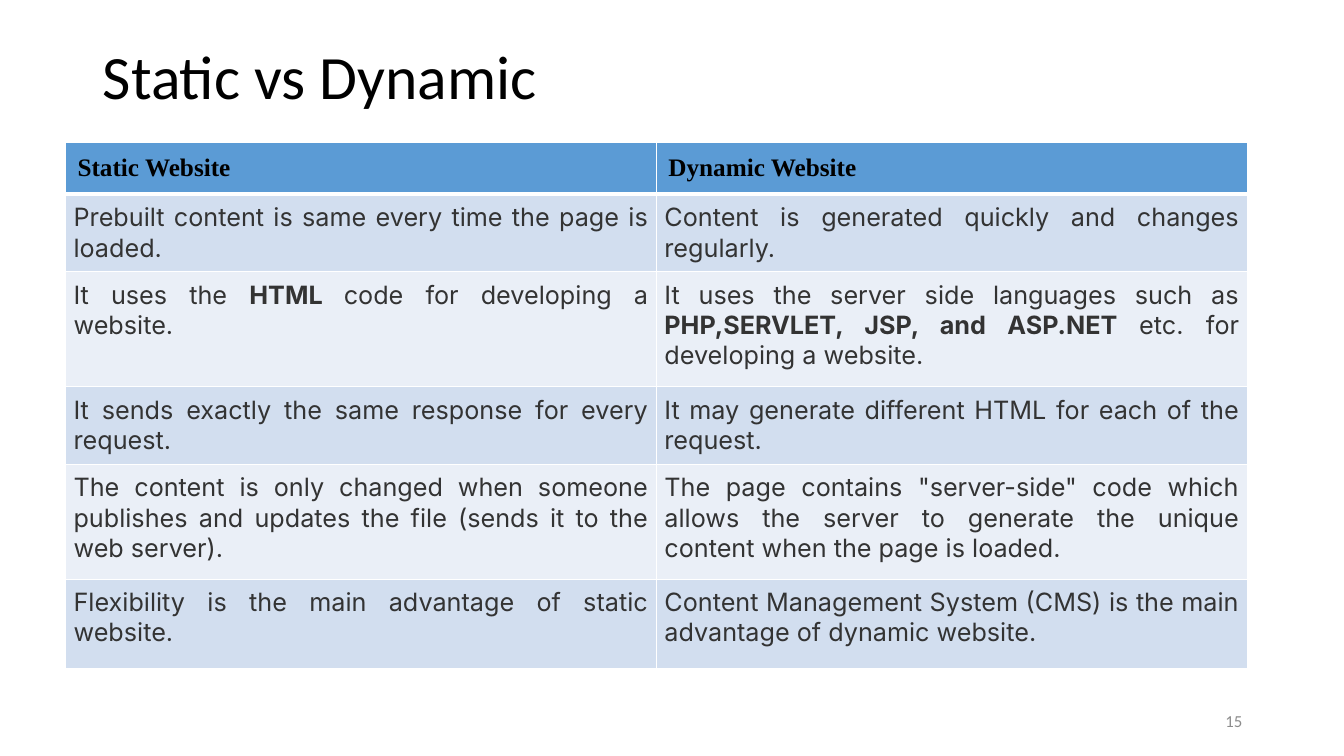
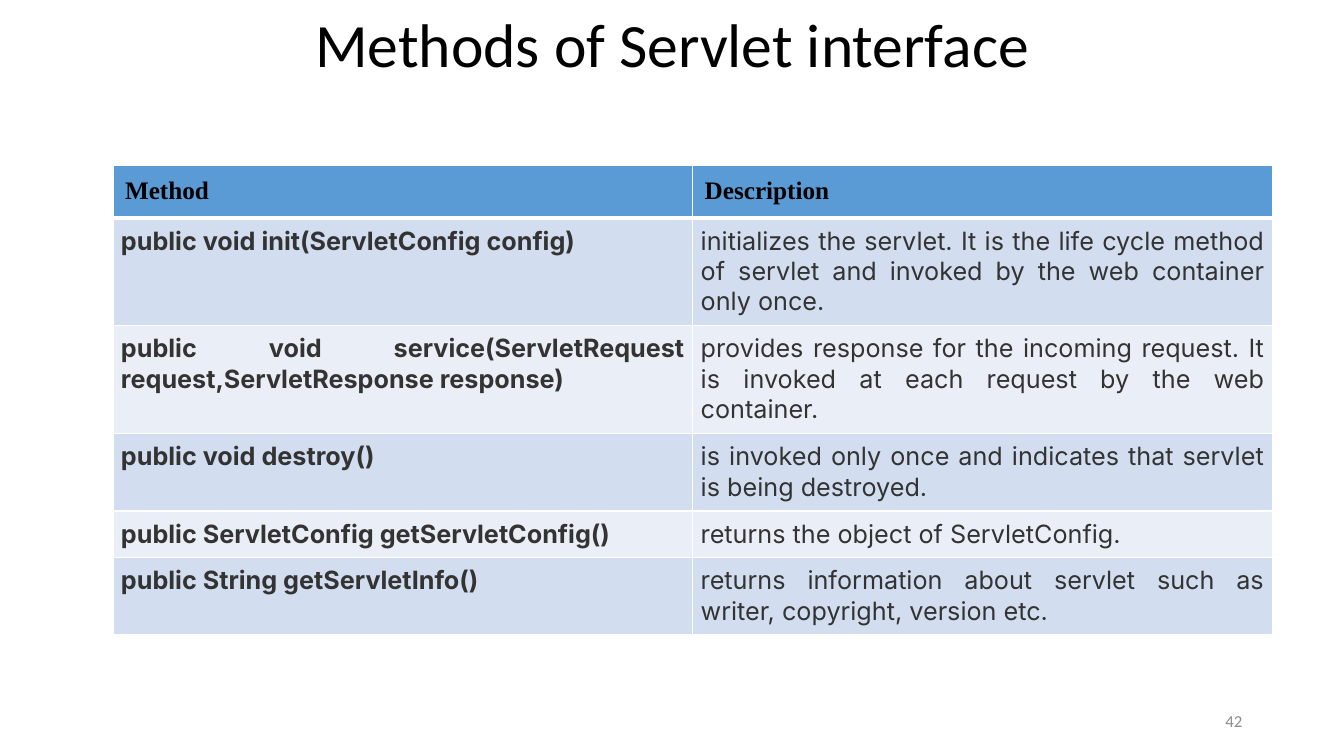
import pptx
import pptx.util
import pptx.dml.color
import pptx.enum.text
import pptx.oxml
import pptx.oxml.ns

PX = 9144  # EMU in one px, 100 px to the inch
COLORS = {
    "title": "000000",
    "heading": "000000",
    "body": "333333",
    "number": "8C8C8C",
    "header": "5B9BD5",
    "odd": "D2DEEF",
    "even": "EAEFF7",
    "border": "FFFFFF",
}
TITLE_FONT, HEADING_FONT, BODY_FONT = "Calibri", "Times New Roman", "Inter"
ALIGN = pptx.enum.text.PP_ALIGN
ANCHOR = pptx.enum.text.MSO_ANCHOR

# Text between double asterisks is bold.
WEBSITES = [
    ("Static Website", "Dynamic Website"),
    ("Prebuilt content is same every time the page is loaded.",
     "Content is generated quickly and changes regularly."),
    ("It uses the **HTML **code for developing a website.",
     "It uses the server side languages such as **PHP,SERVLET, JSP, and ASP.NET **"
     "etc. for developing a website."),
    ("It sends exactly the same response for every request.",
     "It may generate different HTML for each of the request."),
    ("The content is only changed when someone publishes and updates the file "
     "(sends it to the web server).",
     'The page contains "server-side" code which allows the server to generate '
     "the unique content when the page is loaded."),
    ("Flexibility is the main advantage of static website.",
     "Content Management System (CMS) is the main advantage of dynamic website."),
]
METHODS = [
    ("Method", "Description"),
    ("**public void init(ServletConfig config)**",
     "initializes the servlet. It is the life cycle method of servlet and invoked "
     "by the web container only once."),
    ("**public void service(ServletRequest request,ServletResponse response)**",
     "provides response for the incoming request. It is invoked at each request "
     "by the web container."),
    ("**public void destroy()**",
     "is invoked only once and indicates that servlet is being destroyed."),
    ("**public ServletConfig getServletConfig()**",
     "returns the object of ServletConfig."),
    ("**public String getServletInfo()**",
     "returns information about servlet such as writer, copyright, version etc."),
]


def px(length):
    return pptx.util.Emu(length * PX)


def rgb(name):
    return pptx.dml.color.RGBColor.from_string(COLORS[name])


def style_run(run, font, size, color, bold=False):
    run.font.name = font
    run.font.size = pptx.util.Pt(size)
    run.font.color.rgb = rgb(color)
    run.font.bold = bold


def set_title(slide, text, top, height, align):
    title = slide.shapes.title
    title.left, title.top, title.width, title.height = map(px, (92, top, 1150, height))
    frame = title.text_frame
    frame.text = text
    frame.auto_size = pptx.enum.text.MSO_AUTO_SIZE.NONE
    frame.vertical_anchor = ANCHOR.MIDDLE
    paragraph = frame.paragraphs[0]
    paragraph.alignment = align
    paragraph.line_spacing = 0.9
    style_run(paragraph.runs[0], TITLE_FONT, 44, "title")


def add_page_number(slide, number):
    frame = slide.shapes.add_textbox(*map(px, (942, 695, 300, 40))).text_frame
    frame.text = str(number)
    frame.word_wrap = True
    frame.vertical_anchor = ANCHOR.MIDDLE
    frame.paragraphs[0].alignment = ALIGN.RIGHT
    style_run(frame.paragraphs[0].runs[0], TITLE_FONT, 12, "number")


def set_borders(cell, top, bottom):
    """Draw all four cell edges; top and bottom are widths in points."""
    properties = cell._tc.get_or_add_tcPr()
    for side, width in (("L", 1), ("R", 1), ("T", top), ("B", bottom)):
        properties.append(pptx.oxml.parse_xml(
            f'<a:ln{side} {pptx.oxml.ns.nsdecls("a")} w="{pptx.util.Pt(width)}">'
            f'<a:solidFill><a:srgbClr val="{COLORS["border"]}"/></a:solidFill>'
            f'</a:ln{side}>'))


def fill_cell(cell, text, row):
    is_header = row == 0
    set_borders(cell, top=3 if row == 1 else 1, bottom=3 if is_header else 1)
    cell.fill.solid()
    cell.fill.fore_color.rgb = rgb("header" if is_header else "odd" if row % 2 else "even")
    inset = px(12 if is_header else 8)
    cell.margin_left = cell.margin_right = cell.margin_top = cell.margin_bottom = inset
    cell.vertical_anchor = ANCHOR.TOP
    paragraph = cell.text_frame.paragraphs[0]
    paragraph.alignment = ALIGN.LEFT if is_header else ALIGN.JUSTIFY
    for part, words in enumerate(text.split("**")):
        if not words:
            continue
        run = paragraph.add_run()
        run.text = words
        if is_header:
            style_run(run, HEADING_FONT, 18, "heading", bold=True)
        else:
            style_run(run, BODY_FONT, 18, "body", bold=part % 2 == 1)


def add_comparison(slide, rows, left, top, column_width, row_heights):
    columns = len(rows[0])
    table = slide.shapes.add_table(
        len(rows), columns, px(left), px(top),
        px(columns * column_width), px(sum(row_heights))).table
    for column in table.columns:
        column.width = px(column_width)
    for row, (texts, height) in enumerate(zip(rows, row_heights)):
        table.rows[row].height = px(height)
        for column, text in enumerate(texts):
            fill_cell(table.cell(row, column), text, row)


def main():
    deck = pptx.Presentation()
    deck.slide_width, deck.slide_height = pptx.util.Inches(13.33), pptx.util.Inches(7.5)
    title_only = deck.slide_layouts[5]

    websites = deck.slides.add_slide(title_only)
    set_title(websites, "Static vs Dynamic", 40, 77, ALIGN.LEFT)
    add_comparison(websites, WEBSITES, 65, 141, 586, (51, 77, 114, 77, 114, 89))
    add_page_number(websites, 15)

    methods = deck.slides.add_slide(title_only)
    set_title(methods, "Methods of Servlet interface", 5, 85, ALIGN.CENTER)
    add_comparison(methods, METHODS, 112, 164, 575, (52, 107, 107, 77, 46, 77))
    add_page_number(methods, 42)

    deck.save("out.pptx")


if __name__ == "__main__":
    main()
